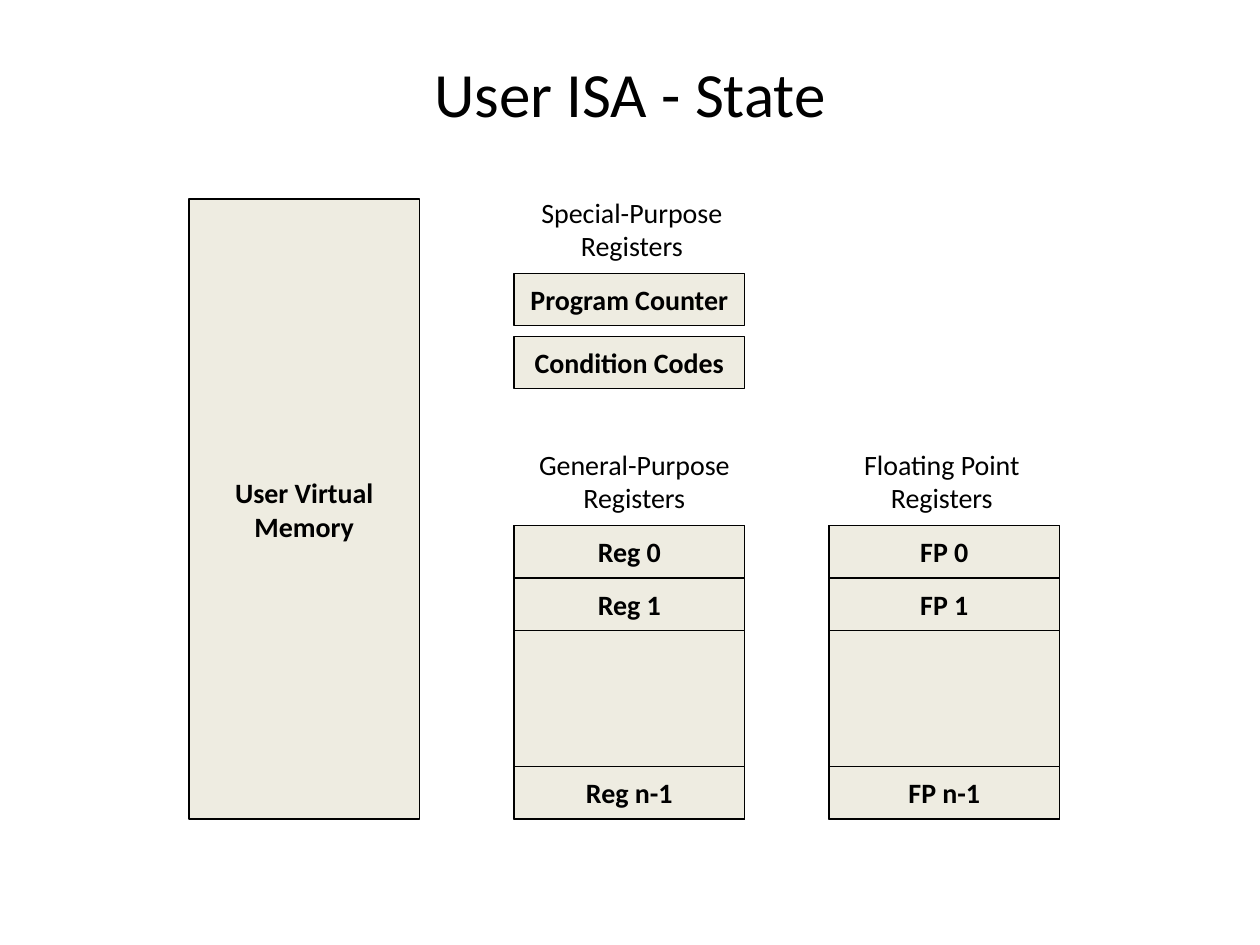
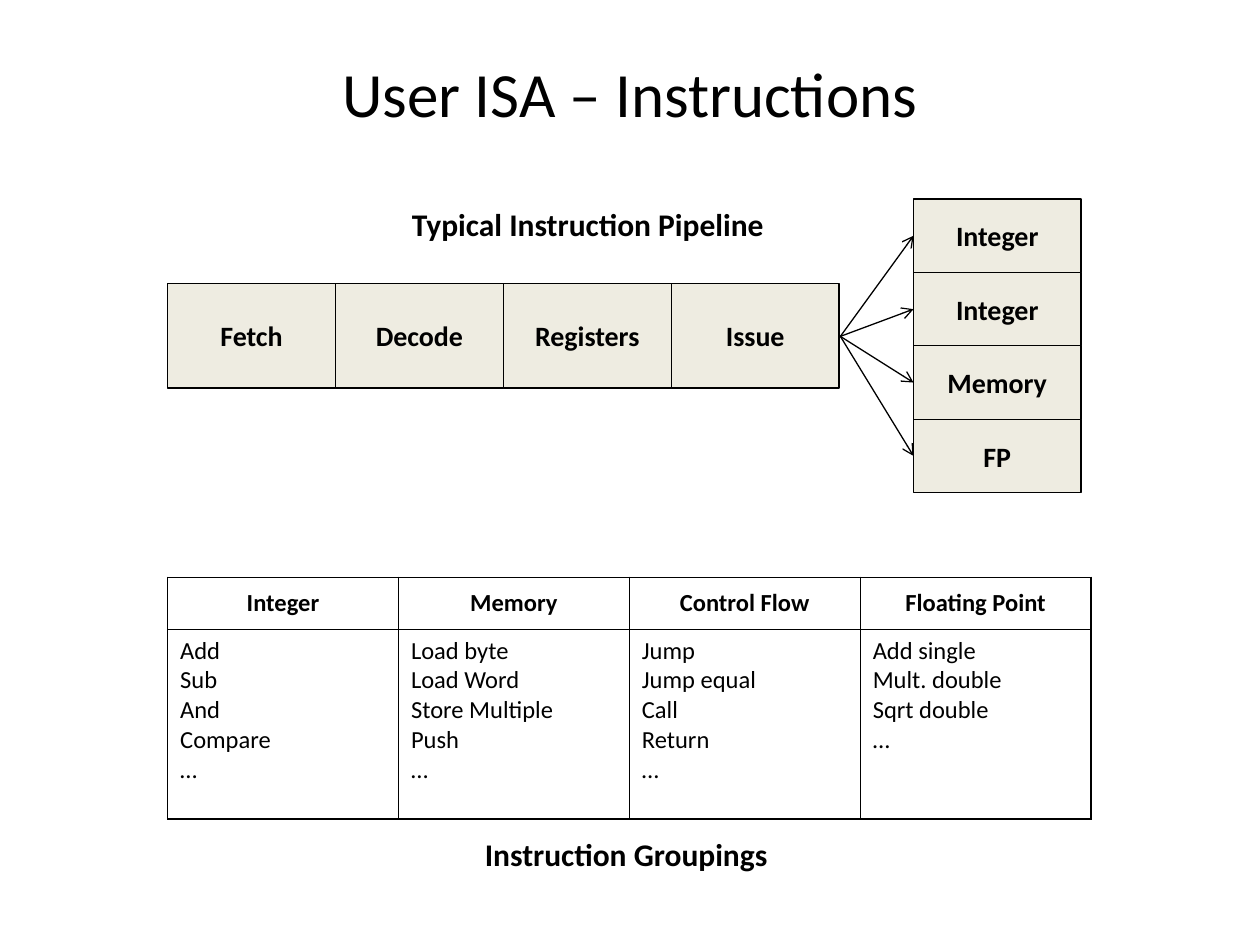
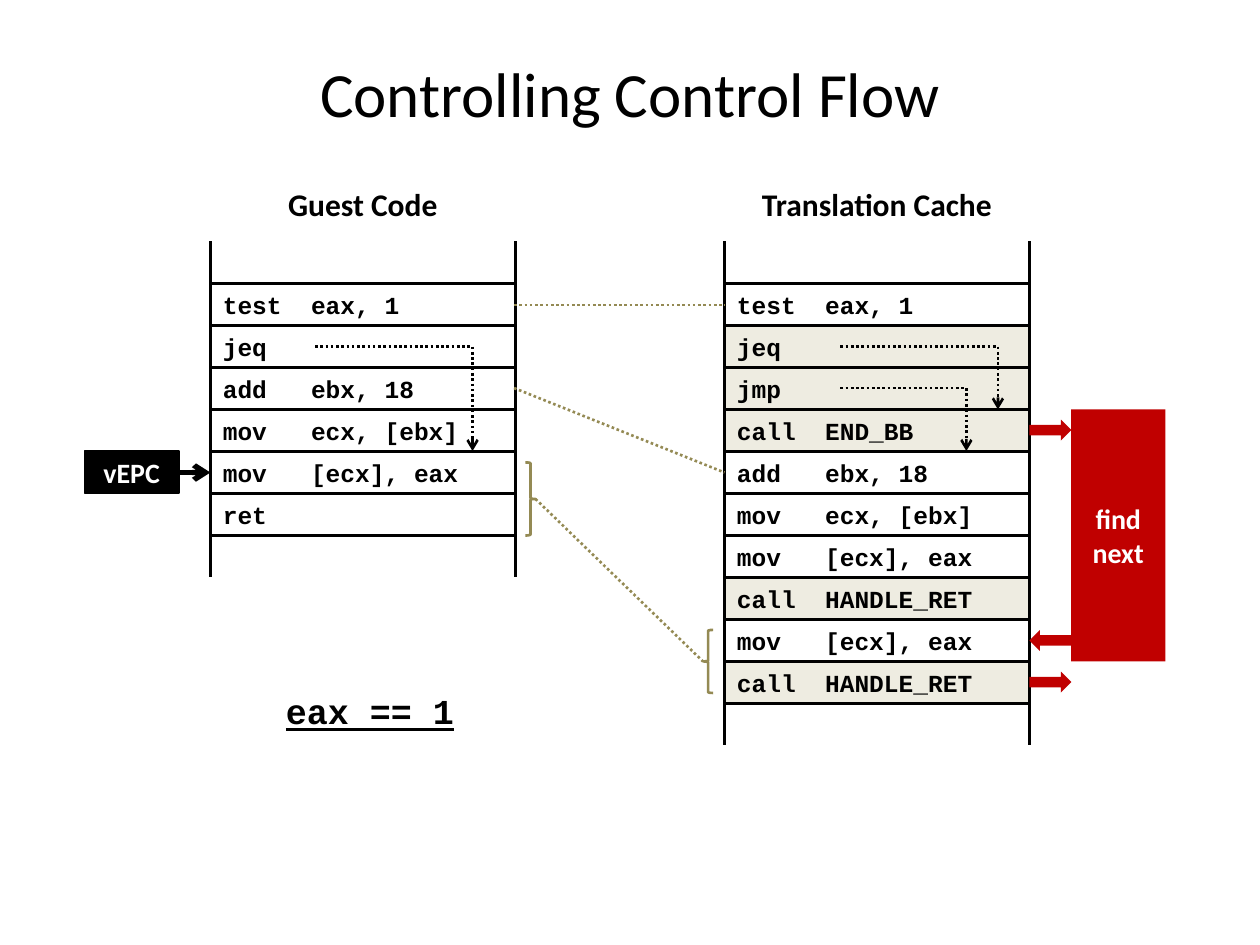
from pptx import Presentation
from pptx.dml.color import RGBColor
from pptx.enum.dml import MSO_LINE
from pptx.enum.shapes import MSO_CONNECTOR, MSO_SHAPE
from pptx.enum.text import MSO_ANCHOR, PP_ALIGN
from pptx.oxml.ns import qn
from pptx.util import Inches, Pt
from lxml.etree import SubElement

BLACK, WHITE, CREAM = "000000", "FFFFFF", "EEECE1"
OLIVE, RED = "948A54", "C00000"
SANS, MONO = "Calibri", "Courier New"
LEFT, MID = PP_ALIGN.LEFT, PP_ALIGN.CENTER
REG = 5 / 12    # height of a register
STEP = 1 / 3    # height of a line of code
WIDE = 2.42     # width of a code listing


def tint(code):
    """Turn a hex string into a colour."""
    return RGBColor.from_string(code)


def place(*nums):
    """Turn numbers of inches into lengths."""
    return [Inches(num) for num in nums]


def write(frame, text, size, bold=False, ink=BLACK, face=SANS, align=MID):
    """Fill a text frame and format its runs."""
    frame.text = text
    for para in frame.paragraphs:
        para.alignment = align
        for run in para.runs:
            font = run.font
            font.size, font.bold, font.name = Pt(size), bold, face
            font.color.rgb = tint(ink)


def shape(slide, kind, box, fill=None, edge=None, weight=0.75):
    """Add a preset shape without a shadow."""
    item = slide.shapes.add_shape(kind, *place(*box))
    item.shadow.inherit = False
    if fill:
        item.fill.solid()
        item.fill.fore_color.rgb = tint(fill)
    else:
        item.fill.background()
    if edge:
        item.line.color.rgb = tint(edge)
        item.line.width = Pt(weight)
    else:
        item.line.fill.background()
    return item


def block(slide, box, text="", fill=CREAM, edge=BLACK, ink=BLACK):
    """Add a rectangle with bold centred text."""
    item = shape(slide, MSO_SHAPE.RECTANGLE, box, fill, edge)
    item.text_frame.vertical_anchor = MSO_ANCHOR.MIDDLE
    write(item.text_frame, text, 16, True, ink)


def label(slide, box, text, size=18, bold=True, face=SANS, align=MID):
    """Add free text on one unwrapped block and return its frame."""
    frame = slide.shapes.add_textbox(*place(*box)).text_frame
    frame.word_wrap = False
    write(frame, text, size, bold, face=face, align=align)
    return frame


def link(slide, start, end, ink=BLACK, weight=1.5, dots=False, head=False,
         bent=False):
    """Add a straight line, or one that turns down at its far end."""
    kind = MSO_CONNECTOR.ELBOW if bent else MSO_CONNECTOR.STRAIGHT
    wire = slide.shapes.add_connector(kind, *place(*start, *end))
    wire.line.color.rgb = tint(ink)
    wire.line.width = Pt(weight)
    if dots:
        wire.line.dash_style = MSO_LINE.ROUND_DOT
    props = wire._element.spPr
    if head:
        SubElement(props.find(qn("a:ln")), qn("a:tailEnd"), type="arrow")
    if bent:
        geom = props.find(qn("a:prstGeom"))
        guides = geom.find(qn("a:avLst"))
        if guides is None:
            guides = SubElement(geom, qn("a:avLst"))
        SubElement(guides, qn("a:gd"), name="adj1", fmla="val 100000")
    SubElement(props, qn("a:effectLst"))


def page(deck, title):
    """Add a slide with its title."""
    slide = deck.slides.add_slide(deck.slide_layouts[5])
    head = slide.shapes.title
    head.left, head.top, head.width, head.height = place(0.5, 0.3, 9, 0.87)
    head.text_frame.vertical_anchor = MSO_ANCHOR.MIDDLE
    write(head.text_frame, title, 36)
    return slide


def bank(slide, box, name):
    """Draw a register file: two first registers, a gap and the last one."""
    left, top, width, height = box
    block(slide, box)
    rows = ((0, "0"), (REG, "1"), (height - REG, "n-1"))
    for drop, mark in rows:
        block(slide, (left, top + drop, width, REG), f"{name} {mark}")


def pipe(slide, box, stages):
    """Draw the pipeline stages side by side."""
    left, top, width, height = box
    wide = width / len(stages)
    for spot, name in enumerate(stages):
        block(slide, (left + spot * wide, top, wide, height), name)


def units(slide, box, names, start):
    """Stack the execution units, each with an arrow from the start point."""
    left, top, width, height = box
    tall = height / len(names)
    for spot, name in enumerate(names):
        y = top + spot * tall
        block(slide, (left, y, width, tall), name)
        link(slide, start, (left, y + tall / 2), weight=0.75, head=True)


def frame(cell):
    """Give a table cell black borders and a white fill."""
    props = cell._tc.get_or_add_tcPr()
    for side in ("lnL", "lnR", "lnT", "lnB"):
        edge = SubElement(props, qn(f"a:{side}"), w=str(Pt(0.75)))
        fill = SubElement(edge, qn("a:solidFill"))
        SubElement(fill, qn("a:srgbClr"), val=BLACK)
    cell.fill.solid()
    cell.fill.fore_color.rgb = tint(WHITE)


def groups(slide, box, data):
    """Draw the table of instruction groups."""
    table = slide.shapes.add_table(2, len(data), *place(*box)).table
    table.first_row = table.horz_banding = False
    table.rows[0].height = Inches(REG)
    table.rows[1].height = Inches(box[3] - REG)
    for col, (name, items) in enumerate(data.items()):
        head, body = table.cell(0, col), table.cell(1, col)
        frame(head)
        frame(body)
        head.vertical_anchor = MSO_ANCHOR.MIDDLE
        write(head.text_frame, name, 14, True)
        write(body.text_frame, "\n".join(items), 14, align=LEFT)


def code(slide, left, top, lines, dark=()):
    """Draw a listing between two rails; dark rows get the cream fill."""
    for row, line in enumerate(lines):
        box = (left, top + row * STEP, WIDE, STEP)
        fill = CREAM if row in dark else WHITE
        item = shape(slide, MSO_SHAPE.RECTANGLE, box, fill, BLACK, 1.5)
        item.text_frame.vertical_anchor = MSO_ANCHOR.MIDDLE
        write(item.text_frame, line, 14, True, face=MONO, align=LEFT)
        props = item.text_frame.paragraphs[0]._p.get_or_add_pPr()
        tabs = SubElement(props, qn("a:tabLst"))
        SubElement(tabs, qn("a:tab"), pos=str(Inches(0.7)), algn="l")
    base = top + (len(lines) + 1) * STEP
    for x in (left, left + WIDE):
        link(slide, (x, top - STEP), (x, base))


def state(deck):
    """Build the slide on the user state."""
    slide = page(deck, "User ISA - State")
    wide = 1.83
    block(slide, (1.5, 1.58, wide, 4.92), "User Virtual Memory")
    for y, name in ((2.17, "Program Counter"), (2.67, "Condition Codes")):
        block(slide, (4.08, y, wide, REG), name)
    for x, name in ((4.08, "Reg"), (6.58, "FP")):
        bank(slide, (x, 4.17, wide, 2.33), name)
    for box, kind in (((4.17, 1.5, 1.69, 0.64), "Special-Purpose"),
                      ((4.17, 3.5, 1.73, 0.64), "General-Purpose"),
                      ((6.75, 3.5, 1.45, 0.64), "Floating Point")):
        label(slide, box, f"{kind}\vRegisters", 16, False)


def orders(deck):
    """Build the slide on instructions."""
    slide = page(deck, "User ISA – Instructions")
    label(slide, (3.17, 1.58, 3.02, 0.4), "Typical Instruction Pipeline",
          align=LEFT)
    pipe(slide, (1.33, 2.25, 5.33, 0.83),
         ("Fetch", "Decode", "Registers", "Issue"))
    units(slide, (7.25, 1.58, 1.33, 2.33),
          ("Integer", "Integer", "Memory", "FP"), (6.67, 2.67))
    groups(slide, (1.33, 4.58, 7.33, 1.92), {
        "Integer": ("Add", "Sub", "And", "Compare", "…"),
        "Memory": ("Load byte", "Load Word", "Store Multiple", "Push", "…"),
        "Control Flow": ("Jump", "Jump equal", "Call", "Return", "…"),
        "Floating Point": ("Add single", "Mult. double", "Sqrt double", "…"),
    })
    label(slide, (3.75, 6.58, 2.46, 0.4), "Instruction Groupings", align=LEFT)


def flow(deck):
    """Build the slide on control flow."""
    slide = page(deck, "Controlling Control Flow")
    test, add = "test\teax, 1", "add\tebx, 18"
    load, save = "mov\tecx, [ebx]", "mov\t[ecx], eax"
    back = "call\tHANDLE_RET"
    label(slide, (2.18, 1.42, 1.4, 0.4), "Guest Code")
    label(slide, (5.94, 1.42, 2.04, 0.4), "Translation Cache")
    code(slide, 1.67, 2.25, (test, "jeq", add, load, save, "ret"))
    code(slide, 5.75, 2.25, (test, "jeq", "jmp", "call\tEND_BB", add, load,
                             save, back, save, back), (1, 2, 3, 7, 9))
    block(slide, (0.67, 3.58, 0.75, STEP), "vEPC", BLACK, BLACK, WHITE)
    link(slide, (1.42, 3.75), (1.67, 3.75), weight=3, head=True)
    for start, end in (((2.5, 2.75), (3.75, 3.58)),
                       ((6.67, 2.75), (7.92, 3.25)),
                       ((6.67, 3.08), (7.67, 3.58))):
        link(slide, start, end, dots=True, head=True, bent=True)
    for start, end in (((4.08, 2.42), (5.75, 2.42)),
                       ((4.08, 3.08), (5.75, 3.75)),
                       ((4.25, 3.96), (5.58, 5.25))):
        link(slide, start, end, OLIVE, dots=True)
    for kind, box in ((MSO_SHAPE.RIGHT_BRACE, (4.17, 3.67, 0.08, 0.58)),
                      (MSO_SHAPE.LEFT_BRACE, (5.58, 5, 0.08, 0.5))):
        shape(slide, kind, box, edge=OLIVE, weight=1.5)
    block(slide, (8.5, 3.25, 0.75, 2), "find\nnext", RED, None, WHITE)
    for kind, y in ((MSO_SHAPE.RIGHT_ARROW, 3.33), (MSO_SHAPE.LEFT_ARROW, 5),
                    (MSO_SHAPE.RIGHT_ARROW, 5.33)):
        shape(slide, kind, (8.17, y, STEP, STEP / 2), RED)
    note = label(slide, (2.17, 5.42, 1.55, 0.44), "eax == 1", 20, face=MONO,
                 align=LEFT)
    note.paragraphs[0].runs[0].font.underline = True


deck = Presentation()
deck.slide_width, deck.slide_height = place(10, 7.5)
for build in (state, orders, flow):
    build(deck)
deck.save("out.pptx")
